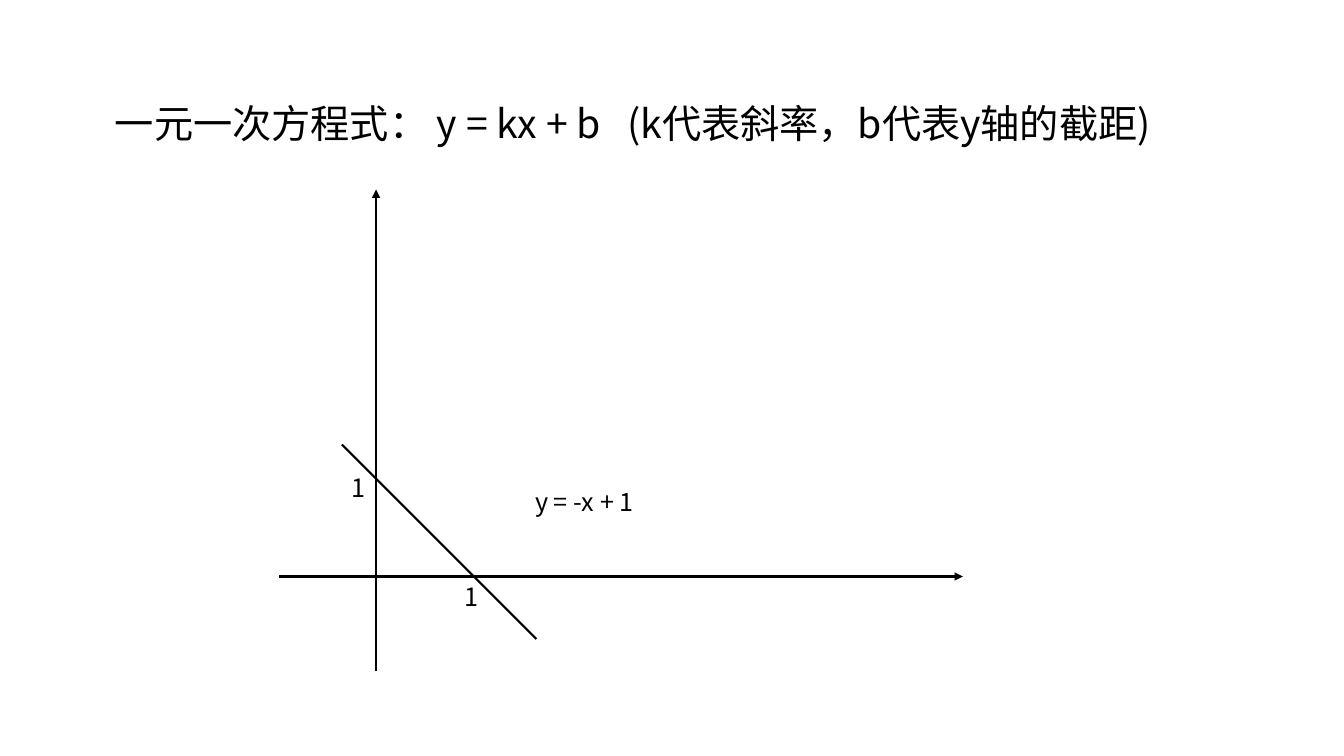
from lxml.etree import SubElement
from pptx import Presentation
from pptx.dml.color import RGBColor
from pptx.enum.shapes import MSO_CONNECTOR
from pptx.enum.text import MSO_ANCHOR, MSO_AUTO_SIZE, PP_ALIGN
from pptx.oxml.ns import qn
from pptx.util import Inches, Pt

# Content
TITLE = "一元一次方程式： y = kx + b   (k代表斜率，b代表y轴的截距)"
LABELS = [  # text, left, top, width
    ("1", 4.51, 5.72, 0.34),
    ("1", 3.39, 4.64, 0.34),
    ("y = -x + 1", 5.21, 4.78, 1.3),
]
FONT = "Noto Sans CJK SC"
BLACK = RGBColor(0, 0, 0)

# Coordinate system: origin and length of one unit, in inches
ORIGIN_X, ORIGIN_Y, UNIT = 3.73, 5.72, 0.97
GRAPH_START, GRAPH_END = 3.39, 5.32


def graph_y(x):
    """Height on the slide of y = -x + 1 at slide position x."""
    return ORIGIN_Y - UNIT + (x - ORIGIN_X)


LINES = [  # start, end, arrowhead
    ((2.77, ORIGIN_Y), (9.55, ORIGIN_Y), True),
    ((ORIGIN_X, 6.66), (ORIGIN_X, 1.88), True),
    ((GRAPH_START, graph_y(GRAPH_START)), (GRAPH_END, graph_y(GRAPH_END)), False),
]


def add_text(paragraph, text, size):
    run = paragraph.add_run()
    run.text = text
    run.font.size = Pt(size)
    run.font.color.rgb = BLACK
    run.font.name = FONT
    properties = run._r.get_or_add_rPr()
    SubElement(properties, qn("a:ea")).set("typeface", FONT)


def add_line(slide, start, end, arrow):
    points = [Inches(value) for value in start + end]
    line = slide.shapes.add_connector(MSO_CONNECTOR.STRAIGHT, *points)
    line.line.color.rgb = BLACK
    line.line.width = Pt(1.5)
    if arrow:
        SubElement(line.line._get_or_add_ln(), qn("a:tailEnd")).set("type", "triangle")
    SubElement(line._element.spPr, qn("a:effectLst"))


def main():
    presentation = Presentation()
    presentation.slide_width, presentation.slide_height = Inches(13.33), Inches(7.5)
    slide = presentation.slides.add_slide(presentation.slide_layouts[5])

    # Title
    title = slide.shapes.title
    title.left, title.top = Inches(1.04), Inches(0.99)
    title.width, title.height = Inches(11.5), Inches(0.58)
    frame = title.text_frame
    frame.auto_size = MSO_AUTO_SIZE.NONE
    frame.vertical_anchor = MSO_ANCHOR.TOP
    paragraph = frame.paragraphs[0]
    paragraph.alignment = PP_ALIGN.LEFT
    paragraph.line_spacing = 0.9
    add_text(paragraph, TITLE, 28)

    # Axes and graph
    for start, end, arrow in LINES:
        add_line(slide, start, end, arrow)

    # Labels
    for text, left, top, width in LABELS:
        box = slide.shapes.add_textbox(Inches(left), Inches(top), Inches(width), Inches(0.4))
        box.text_frame.word_wrap = False
        box.text_frame.auto_size = MSO_AUTO_SIZE.SHAPE_TO_FIT_TEXT
        add_text(box.text_frame.paragraphs[0], text, 18)

    presentation.save("out.pptx")


if __name__ == "__main__":
    main()
